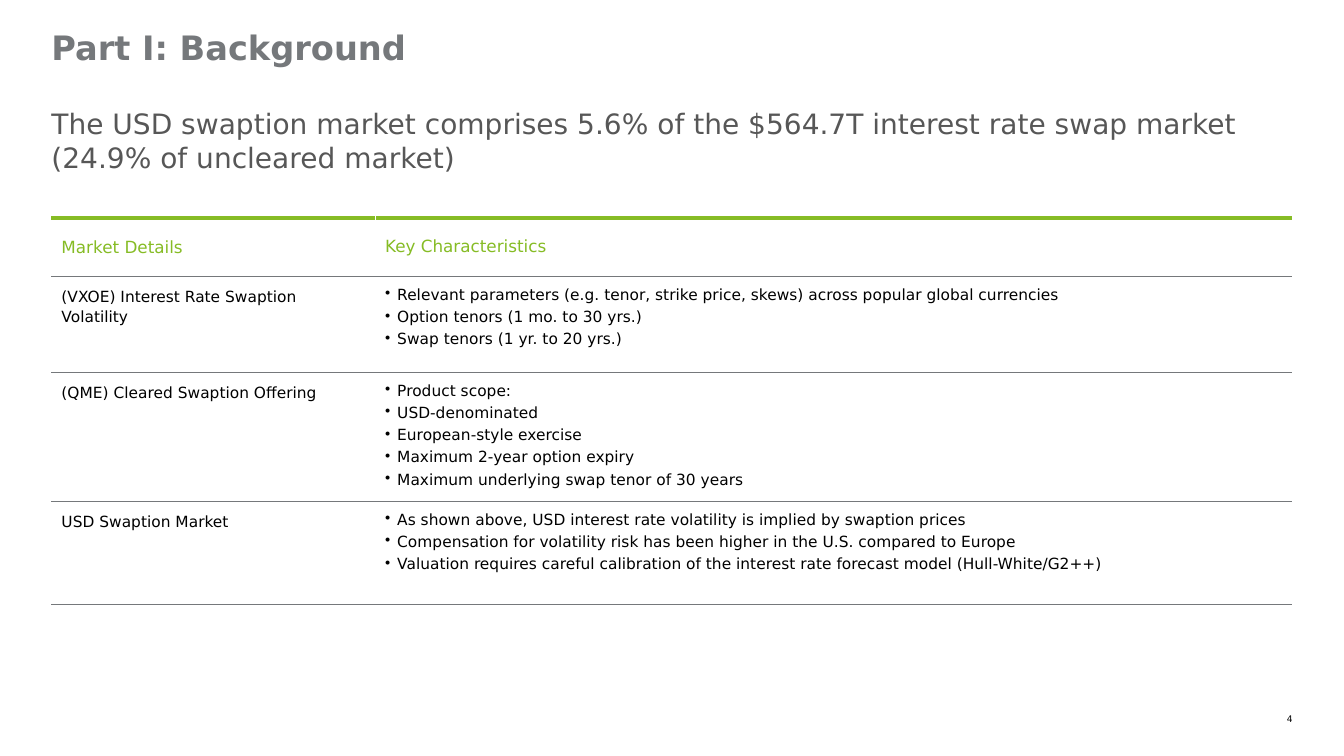
from typing import NamedTuple

from lxml import etree
from pptx import Presentation
from pptx.dml.color import RGBColor
from pptx.enum import text
from pptx.oxml import ns
from pptx.util import Inches, Pt

GREEN = RGBColor(0x86, 0xBC, 0x25)
GRAY = RGBColor(0x75, 0x78, 0x7B)
DARK_GRAY = RGBColor(0x57, 0x57, 0x57)
BLACK = RGBColor(0, 0, 0)
WHITE = RGBColor(0xFF, 0xFF, 0xFF)
FONT = "DejaVu Sans"


class TextBlock(NamedTuple):
    content: str
    left: float
    top: float
    width: float
    height: float
    size: float
    color: RGBColor
    bold: bool = False
    alignment: text.PP_ALIGN = text.PP_ALIGN.LEFT
    line_spacing: float = 1.0


class MarketRow(NamedTuple):
    market: str
    characteristics: list[str]
    height: float


class Border(NamedTuple):
    side: str
    color: RGBColor
    width: float


TEXT_BLOCKS = [
    TextBlock("Part I: Background", 0.51, 0.31, 12.6, 0.49, 24, GRAY, True, line_spacing=0.9),
    TextBlock(
        "The USD swaption market comprises 5.6% of the $564.7T interest rate swap market "
        "(24.9% of uncleared market)",
        0.51, 1.06, 12.31, 0.83, 20, DARK_GRAY,
    ),
    TextBlock("4", 12.48, 7.08, 0.34, 0.11, 6.5, BLACK, alignment=text.PP_ALIGN.RIGHT),
]

HEADERS = [("Market Details", 1.1), ("Key Characteristics", 1.0)]
HEADER_HEIGHT = 0.58
COLUMN_WIDTHS = [3.21, 9.09]
MARKET_ROWS = [
    MarketRow(
        "(VXOE) Interest Rate Swaption Volatility",
        [
            "Relevant parameters (e.g. tenor, strike price, skews) across popular global currencies",
            "Option tenors (1 mo. to 30 yrs.)",
            "Swap tenors (1 yr. to 20 yrs.)",
        ],
        0.95,
    ),
    MarketRow(
        "(QME) Cleared Swaption Offering",
        [
            "Product scope:",
            "USD-denominated",
            "European-style exercise",
            "Maximum 2-year option expiry",
            "Maximum underlying swap tenor of 30 years",
        ],
        1.28,
    ),
    MarketRow(
        "USD Swaption Market",
        [
            "As shown above, USD interest rate volatility is implied by swaption prices",
            "Compensation for volatility risk has been higher in the U.S. compared to Europe",
            "Valuation requires careful calibration of the interest rate forecast model (Hull-White/G2++)",
        ],
        1.02,
    ),
]
RULE = Border("B", GRAY, 0.25)
HEADER_RULE = Border("T", GREEN, 3)
BODY_BORDERS = [Border("L", WHITE, 0), Border("R", WHITE, 0), Border("T", GRAY, 0.25), RULE]
HEADER_BORDERS = [
    [Border("L", WHITE, 0), Border("R", WHITE, 0.5), HEADER_RULE, RULE],
    [Border("L", WHITE, 0.5), Border("R", WHITE, 0), HEADER_RULE, RULE],
]


def style_paragraph(paragraph, size: float, color: RGBColor, bold: bool = False) -> None:
    font = paragraph.font
    font.name, font.size, font.bold = FONT, Pt(size), bold
    font.color.rgb = color


def add_text_block(slide, block: TextBlock) -> None:
    box = slide.shapes.add_textbox(
        Inches(block.left), Inches(block.top), Inches(block.width), Inches(block.height)
    )
    frame = box.text_frame
    frame.word_wrap = True
    frame.margin_left = frame.margin_right = frame.margin_top = frame.margin_bottom = 0
    paragraph = frame.paragraphs[0]
    paragraph.text = block.content
    paragraph.alignment = block.alignment
    paragraph.line_spacing = block.line_spacing
    style_paragraph(paragraph, block.size, block.color, block.bold)


def format_cell(cell, borders: list[Border]) -> None:
    cell.margin_left = cell.margin_right = cell.margin_top = cell.margin_bottom = Inches(0.1)
    cell.fill.solid()
    cell.fill.fore_color.rgb = WHITE
    properties = cell._tc.get_or_add_tcPr()
    for index, border in enumerate(borders):
        line = etree.Element(ns.qn(f"a:ln{border.side}"), w=str(Pt(border.width)))
        if border.width:
            fill = etree.SubElement(line, ns.qn("a:solidFill"))
            etree.SubElement(fill, ns.qn("a:srgbClr"), val=str(border.color))
        else:
            etree.SubElement(line, ns.qn("a:noFill"))
        properties.insert(index, line)


def add_bullet(paragraph) -> None:
    properties = paragraph._p.get_or_add_pPr()
    properties.set("marL", str(Inches(0.12)))
    properties.set("indent", str(Inches(-0.12)))
    etree.SubElement(properties, ns.qn("a:buChar"), char="•")


def fill_market_row(market_cell, detail_cell, row: MarketRow) -> None:
    for cell in (market_cell, detail_cell):
        format_cell(cell, BODY_BORDERS)
    paragraph = market_cell.text_frame.paragraphs[0]
    paragraph.text = row.market
    paragraph.line_spacing = 1.1
    paragraph.space_before, paragraph.space_after = Pt(3), Pt(6)
    style_paragraph(paragraph, 11, BLACK)
    detail_cell.text = "\n".join(row.characteristics)
    for paragraph in detail_cell.text_frame.paragraphs:
        paragraph.level = 1
        paragraph.space_before = Pt(3)
        add_bullet(paragraph)
        style_paragraph(paragraph, 11, BLACK)


def add_market_table(slide) -> None:
    heights = [HEADER_HEIGHT] + [row.height for row in MARKET_ROWS]
    table = slide.shapes.add_table(
        len(heights), len(COLUMN_WIDTHS), Inches(0.51), Inches(2.16),
        Inches(sum(COLUMN_WIDTHS)), Inches(sum(heights)),
    ).table
    table.first_row = table.horz_banding = False
    for column, width in zip(table.columns, COLUMN_WIDTHS):
        column.width = Inches(width)
    for table_row, height in zip(table.rows, heights):
        table_row.height = Inches(height)
    for index, (header, spacing) in enumerate(HEADERS):
        cell = table.cell(0, index)
        format_cell(cell, HEADER_BORDERS[index])
        cell.vertical_anchor = text.MSO_ANCHOR.MIDDLE
        paragraph = cell.text_frame.paragraphs[0]
        paragraph.text = header
        paragraph.line_spacing = spacing
        style_paragraph(paragraph, 12, GREEN)
    for index, row in enumerate(MARKET_ROWS, start=1):
        fill_market_row(table.cell(index, 0), table.cell(index, 1), row)


def main() -> None:
    presentation = Presentation()
    presentation.slide_width, presentation.slide_height = Inches(13.33), Inches(7.5)
    slide = presentation.slides.add_slide(presentation.slide_layouts[6])
    add_market_table(slide)
    for block in TEXT_BLOCKS:
        add_text_block(slide, block)
    presentation.save("out.pptx")


if __name__ == "__main__":
    main()
